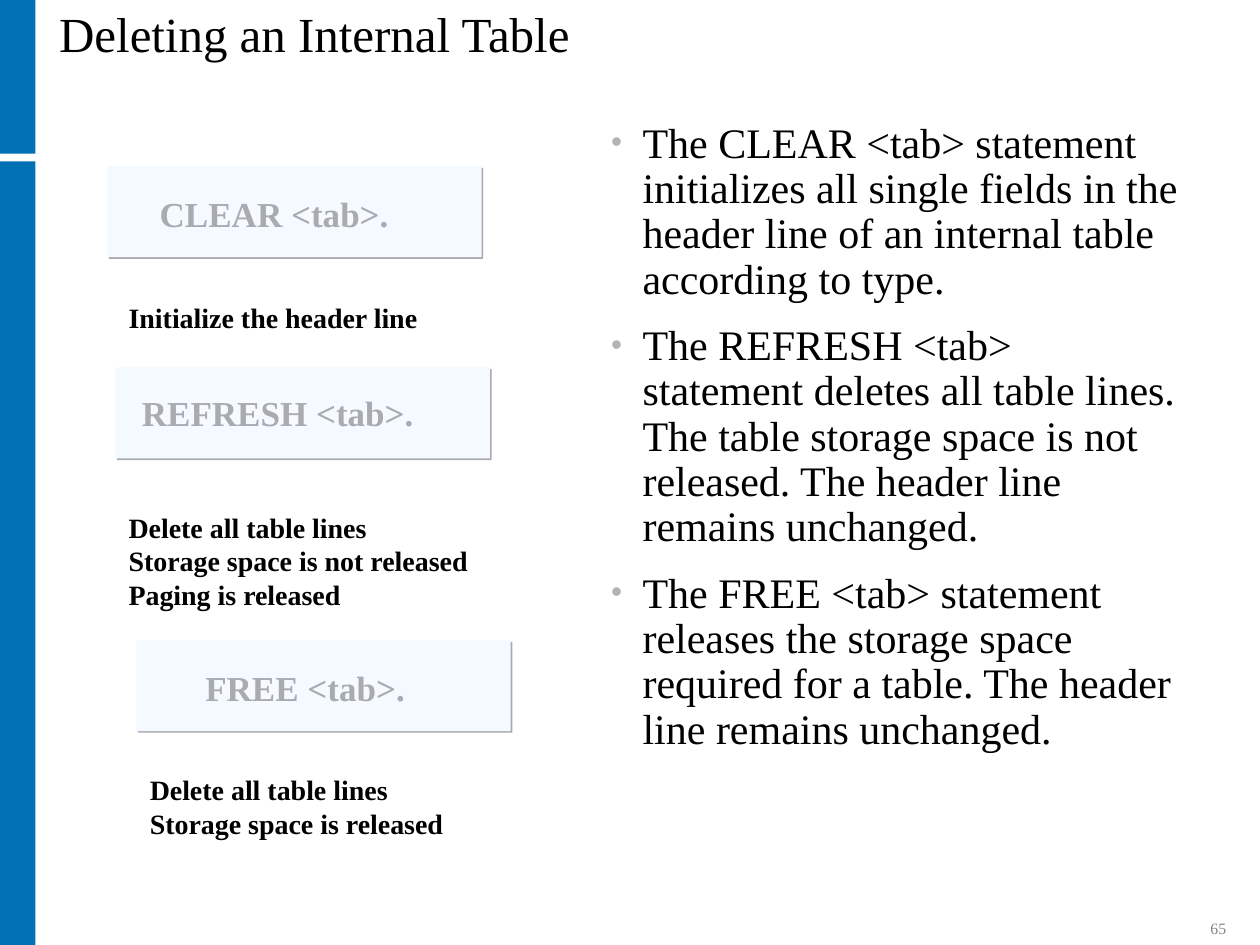
from dataclasses import dataclass

from lxml.etree import SubElement
from pptx import Presentation
from pptx.dml.color import RGBColor
from pptx.enum.shapes import MSO_SHAPE
from pptx.enum.text import MSO_ANCHOR, MSO_AUTO_SIZE, PP_ALIGN
from pptx.oxml.ns import qn
from pptx.util import Pt


@dataclass(frozen=True)
class Theme:
    face: str = "Times New Roman"
    blue: str = "0071B4"
    pale: str = "F4FAFF"
    gray: str = "AAABB0"
    dot: str = "B2B3B5"
    dim: str = "848589"
    ink: str = "000000"
    head: int = 28
    body: int = 24
    label: int = 20
    note: int = 16
    foot: int = 9


THEME = Theme()
WIDE, HIGH = 720, 540
CARD = (214, 52)
CARDS = [
    ((61.2, 95), "CLEAR <tab>.", (23, 11.5, 147),
     "Initialize the header line", (5.2, 73, 181, 26)),
    ((66, 210), "REFRESH <tab>.", (8, 10.2, 172),
     "Delete all table lines\nStorage space is not released\nPaging is released",
     (0.4, 78, 210, 65)),
    ((77.8, 365.8), "FREE <tab>.", (32.4, 11.5, 131),
     "Delete all table lines\nStorage space is released", (0.7, 72.2, 184, 45.4)),
]
POINTS = "\n".join([
    "The CLEAR <tab> statement initializes all single fields in the header line "
    "of an internal table according to type.",
    "The REFRESH <tab> statement deletes all table lines. The table storage space "
    "is not released. The header line remains unchanged.",
    "The FREE <tab> statement releases the storage space required for a table. "
    "The header line remains unchanged.",
])


def place(shape, box):
    shape.left, shape.top, shape.width, shape.height = map(Pt, box)


def add_dot(para, color):
    props = para._p.get_or_add_pPr()
    props.set("marL", str(Pt(18)))
    props.set("indent", str(-Pt(18)))
    tint = SubElement(props, qn("a:buClr"))
    SubElement(tint, qn("a:srgbClr"), val=color)
    SubElement(props, qn("a:buSzPct"), val="75000")
    SubElement(props, qn("a:buFont"), typeface="Arial")
    SubElement(props, qn("a:buChar"), char="•")


def write(frame, text, size, color=THEME.ink, bold=False, align=PP_ALIGN.LEFT,
          anchor=MSO_ANCHOR.TOP, wrap=True, pad=(7.2, 3.6), lead=1.0,
          before=0, after=0, dot=None):
    frame.word_wrap = wrap
    frame.auto_size = MSO_AUTO_SIZE.NONE if wrap else MSO_AUTO_SIZE.SHAPE_TO_FIT_TEXT
    frame.vertical_anchor = anchor
    frame.margin_left = frame.margin_right = Pt(pad[0])
    frame.margin_top = frame.margin_bottom = Pt(pad[1])
    for rank, line in enumerate(text.split("\n")):
        para = frame.add_paragraph() if rank else frame.paragraphs[0]
        if dot:
            add_dot(para, dot)
        para.alignment = align
        para.line_spacing = lead
        para.space_before = Pt(before if rank else 0)
        para.space_after = Pt(after)
        run = para.add_run()
        run.text = line
        run.font.name = THEME.face
        run.font.size = Pt(size)
        run.font.bold = bold
        run.font.color.rgb = RGBColor.from_string(color)


def add_text(slide, box, text, **style):
    write(slide.shapes.add_textbox(*map(Pt, box)).text_frame, text, **style)


def add_block(slide, box, color):
    block = slide.shapes.add_shape(MSO_SHAPE.RECTANGLE, *map(Pt, box))
    block.shadow.inherit = False
    block.fill.solid()
    block.fill.fore_color.rgb = RGBColor.from_string(color)
    block.line.fill.background()
    return block


def add_shade(block, color):
    effects = block._element.spPr.find(qn("a:effectLst"))
    shade = SubElement(effects, qn("a:outerShdw"), blurRad="0",
                       dist=str(Pt(1.4)), dir="2700000", algn="ctr", rotWithShape="0")
    SubElement(shade, qn("a:srgbClr"), val=color)


def add_side(slide, box, split=87.8, gap=4.4):
    left, top, width, height = box
    low = split + gap
    add_block(slide, (left, top + low, width, height - low), THEME.blue)
    add_block(slide, (left, top, width, split), THEME.blue)


def add_card(slide, box, label, spot, note, area):
    left, top = box[:2]
    add_shade(add_block(slide, box, THEME.pale), THEME.gray)
    add_text(slide, (left + spot[0], top + spot[1], spot[2], 31), label,
             size=THEME.label, color=THEME.gray, bold=True, wrap=False)
    add_text(slide, (left + area[0], top + area[1], *area[2:]), note,
             size=THEME.note, bold=True, wrap=False)


def add_title(slide, box):
    title = slide.shapes.title
    place(title, box)
    write(title.text_frame, "Deleting an Internal Table", size=THEME.head,
          anchor=MSO_ANCHOR.MIDDLE, pad=(0, 0), lead=0.9)


def add_list(slide, box):
    body = slide.placeholders[1]
    place(body, box)
    write(body.text_frame, POINTS, size=THEME.body, lead=0.9,
          before=9, after=3, dot=THEME.dot)


def add_foot(slide, box):
    add_text(slide, box, "65", size=THEME.foot, color=THEME.dim,
             align=PP_ALIGN.RIGHT, anchor=MSO_ANCHOR.BOTTOM)


def main():
    deck = Presentation()
    deck.slide_width, deck.slide_height = Pt(WIDE), Pt(HIGH)
    slide = deck.slides.add_slide(deck.slide_layouts[1])
    add_side(slide, (0, 0, 20.2, HIGH))
    add_title(slide, (33.8, 9, 600.5, 23.8))
    for spot, *parts in CARDS:
        add_card(slide, (*spot, *CARD), *parts)
    add_list(slide, (342, 66, 340.6, 443.5))
    add_foot(slide, (648, 522, 59.8, 17.3))
    deck.save("out.pptx")


if __name__ == "__main__":
    main()
